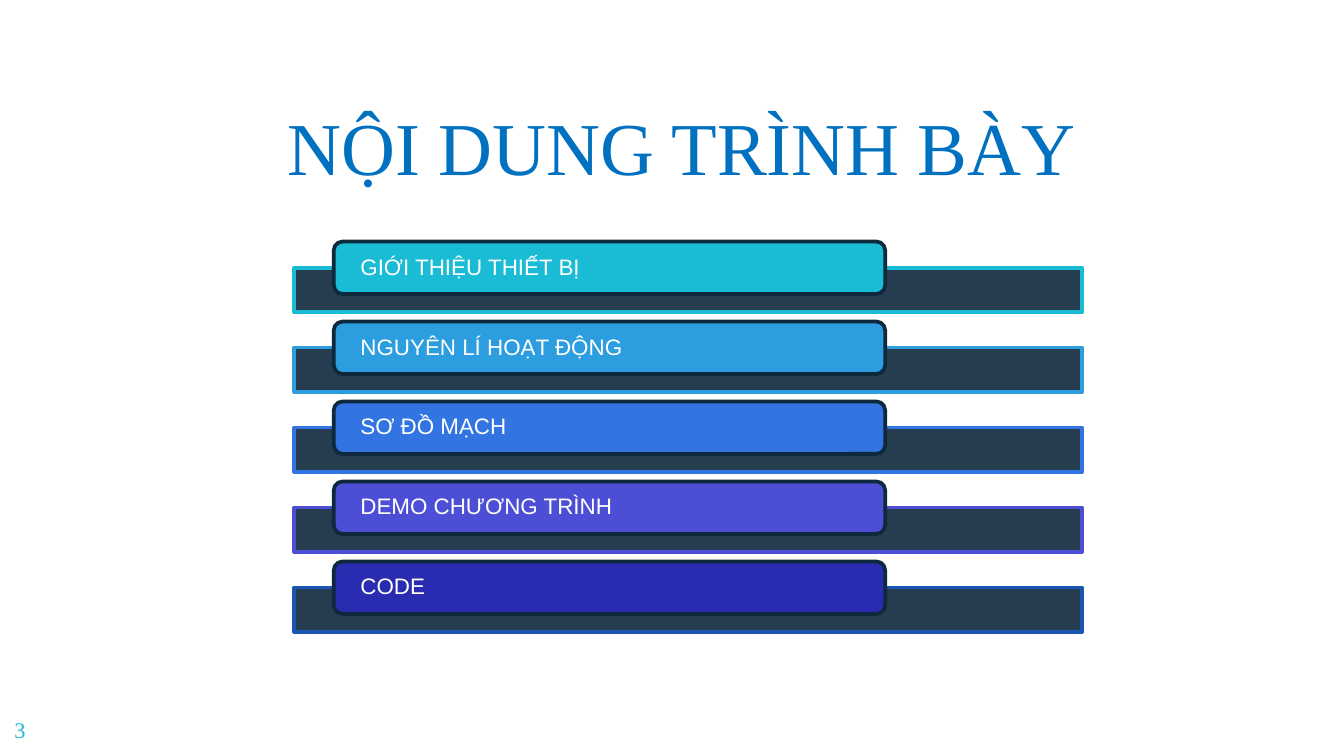
from lxml import etree
from pptx import Presentation
from pptx.dml.color import RGBColor
from pptx.enum import shapes, text
from pptx.oxml import ns
from pptx.util import Pt

COLORS = {
    "title": "0070C0", "number": "19BBD5", "dark": "0E293C", "white": "FFFFFF",
    "cyan": "19BBD5", "sky": "2C9DDE", "blue": "3274E1",
    "violet": "4C4ED5", "indigo": "292BB0", "navy": "1A54B4",
}
# Label, tab fill, bar outline
AGENDA = [
    ("GIỚI THIỆU THIẾT BỊ", "cyan", "cyan"),
    ("NGUYÊN LÍ HOẠT ĐỘNG", "sky", "sky"),
    ("SƠ ĐỒ MẠCH", "blue", "blue"),
    ("DEMO CHƯƠNG TRÌNH", "violet", "violet"),
    ("CODE", "indigo", "navy"),
]


def color(name):
    return RGBColor.from_string(COLORS[name])


def write(shape, words, font, size, ink, inset, anchor, spacing=1.0):
    frame = shape.text_frame
    frame_format = {
        "word_wrap": True, "auto_size": text.MSO_AUTO_SIZE.NONE,
        "vertical_anchor": anchor,
        "margin_left": Pt(inset[0]), "margin_right": Pt(inset[0]),
        "margin_top": Pt(inset[1]), "margin_bottom": Pt(inset[1]),
    }
    for key, value in frame_format.items():
        setattr(frame, key, value)
    para = frame.paragraphs[0]
    para.alignment = text.PP_ALIGN.LEFT
    para.line_spacing = spacing
    span = para.add_run()
    span.text = words
    for key, value in {"name": font, "size": Pt(size)}.items():
        setattr(span.font, key, value)
    span.font.color.rgb = color(ink)


def add_box(page, kind, box, fill, line):
    shape = page.shapes.add_shape(kind, *map(Pt, box))
    shape.shadow.inherit = False
    shape.fill.solid()
    shape.fill.fore_color.rgb = color(fill)
    shape.line.color.rgb = color(line)
    shape.line.width = Pt(2)
    return shape


def set_opacity(shape, percent):
    tint = shape.fill._xPr.find(ns.qn("a:solidFill"))[0]
    etree.SubElement(tint, ns.qn("a:alpha"), val=str(percent * 1000))


def place_title(page, box):
    title = page.shapes.title
    for key, value in zip(("left", "top", "width", "height"), box):
        setattr(title, key, Pt(value))
    write(title, "NỘI DUNG TRÌNH BÀY", "Times New Roman", 40, "title",
          (7.2, 7.2), text.MSO_ANCHOR.BOTTOM)


def place_number(page, box):
    number = page.shapes.add_textbox(*map(Pt, box))
    write(number, "3", "Times New Roman", 12, "number",
          (7.2, 7.2), text.MSO_ANCHOR.TOP)


def place_agenda(page, box):
    left, top, width, height = box
    bar_drop, bar_height, tab_height = 14, 23.8, 28.1
    pitch = (height - bar_drop - bar_height) / (len(AGENDA) - 1)
    for index, (label, fill, outline) in enumerate(AGENDA):
        row_top = top + index * pitch
        # Bar behind
        bar = add_box(page, shapes.MSO_SHAPE.RECTANGLE,
                      (left, row_top + bar_drop, width, bar_height), "dark", outline)
        set_opacity(bar, 90)
        # Labelled tab in front
        tab = add_box(page, shapes.MSO_SHAPE.ROUNDED_RECTANGLE,
                      (left + width * 0.05, row_top, width * 0.7, tab_height), fill, "dark")
        write(tab, label, "Arial", 12, "white", (12.9, 0),
              text.MSO_ANCHOR.MIDDLE, 0.9)


def main():
    deck = Presentation()
    deck.slide_width, deck.slide_height = Pt(720), Pt(405)
    page = deck.slides.add_slide(deck.slide_layouts[5])
    place_title(page, (147, 58.3, 455.8, 51.1))
    place_number(page, (0.7, 376.6, 43.2, 28.1))
    place_agenda(page, (157.7, 129.4, 422, 209.2))
    deck.save("out.pptx")


if __name__ == "__main__":
    main()
